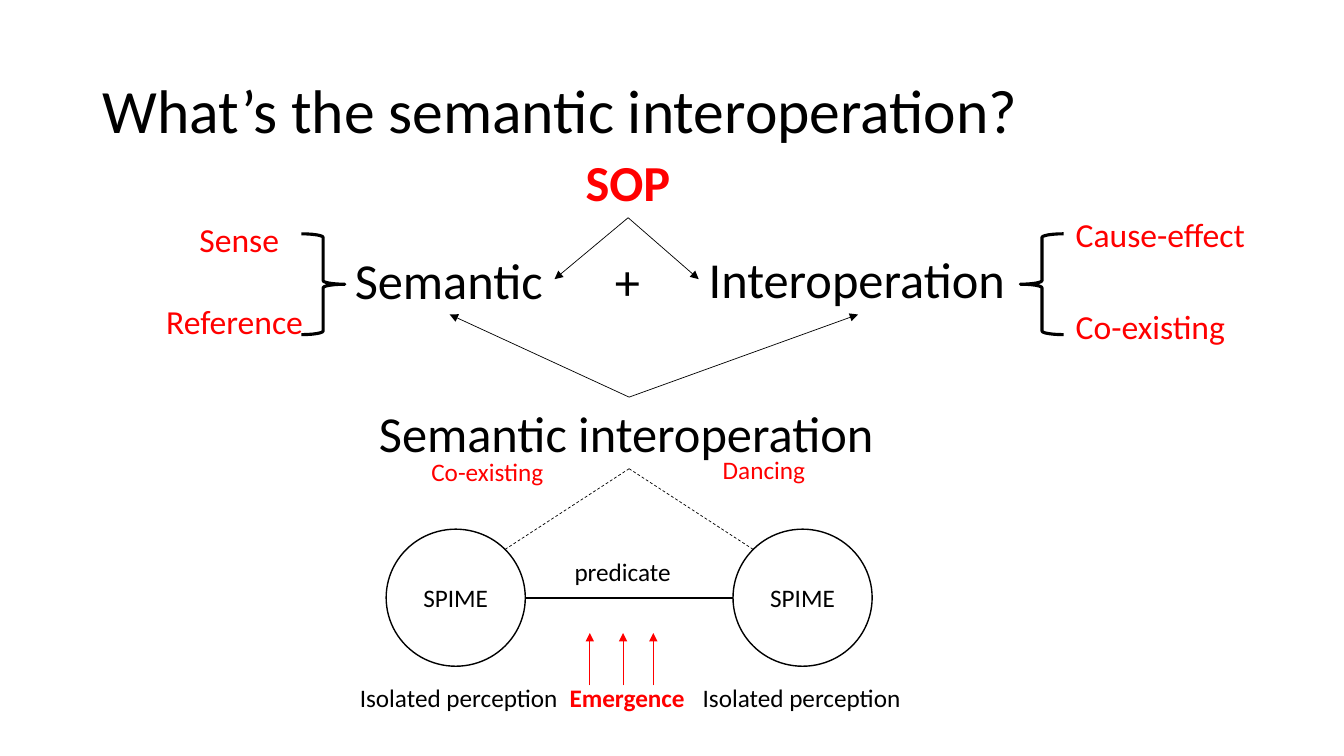
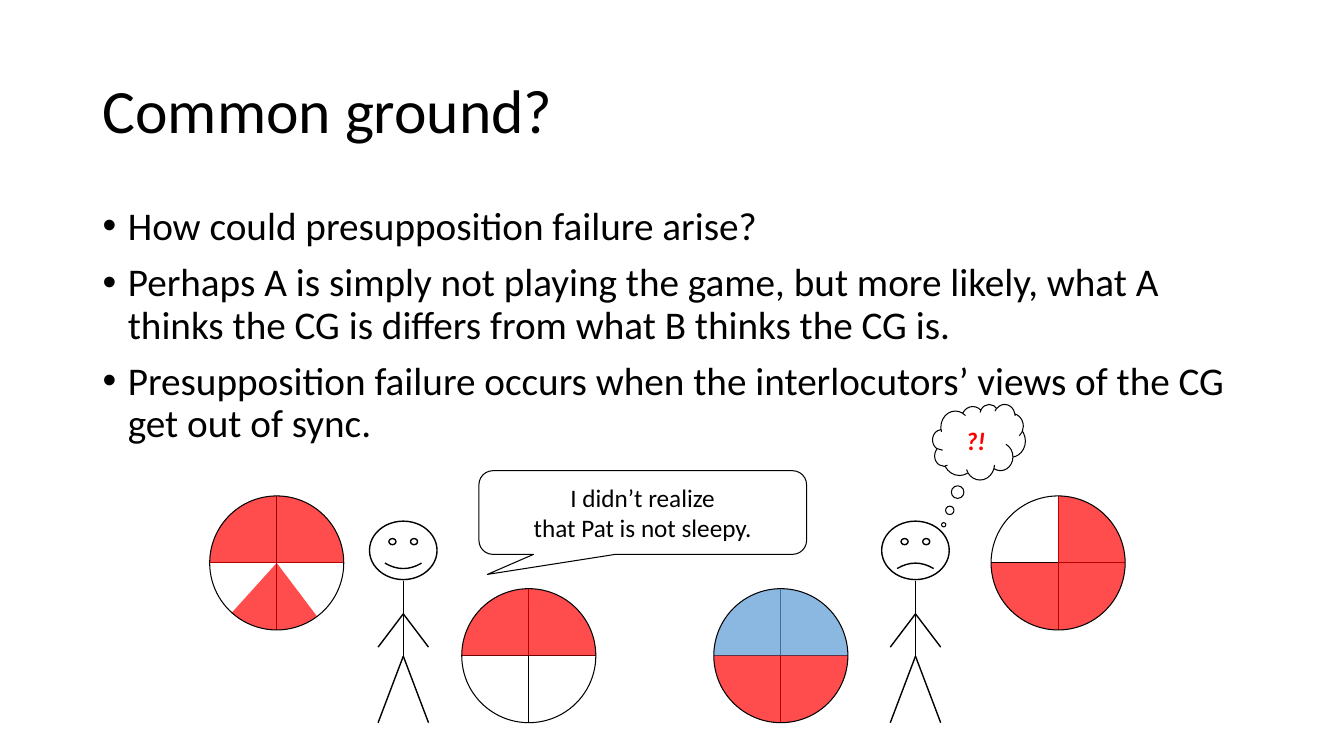
"""Build two slides: a semantic interoperation diagram and a common ground scene."""
import lxml.etree
import pptx
import pptx.util
import pptx.dml.color
import pptx.enum.dml
import pptx.enum.shapes
import pptx.enum.text
import pptx.oxml.ns

Inches, Pt = pptx.util.Inches, pptx.util.Pt
SHAPE = pptx.enum.shapes.MSO_SHAPE
ALIGN = pptx.enum.text.PP_ALIGN
ANCHOR = pptx.enum.text.MSO_ANCHOR
qn = pptx.oxml.ns.qn

COLORS = {"paper": "FFFFFF", "ink": "000000", "accent": "FF0000", "blue": "5B9BD5"}
FONT = "Calibri"
TITLE_AREA = (0.92, 0.4, 11.5, 1.45)

DIAGRAM_TITLE = "What’s the semantic interoperation?"
LABELS = [
    ("SOP", (5.71, 1.45, 1.05, 0.71), 36, "accent", True),
    ("Semantic", (3.42, 2.42, 2.09, 0.71), 36, "ink", False),
    ("+", (6, 2.43, 0.45, 0.71), 36, "ink", False),
    ("Interoperation", (6.93, 2.41, 3.17, 0.71), 36, "ink", False),
    ("Sense", (1.88, 2.12, 1, 0.5), 24, "accent", False),
    ("Reference", (1.55, 2.94, 1.58, 0.5), 24, "accent", False),
    ("Cause-effect", (10.57, 2.07, 1.91, 0.5), 24, "accent", False),
    ("Co-existing", (10.57, 2.99, 1.7, 0.5), 24, "accent", False),
    ("Semantic interoperation", (3.66, 3.94, 5.16, 0.71), 36, "ink", False),
    ("Co-existing", (4.18, 4.48, 1.33, 0.4), 18, "accent", False),
    ("Dancing", (7.07, 4.46, 1.03, 0.4), 18, "accent", False),
    ("predicate", (5.6, 5.47, 1.17, 0.4), 18, "ink", False),
    ("Isolated perception", (3.47, 6.72, 2.19, 0.4), 18, "ink", False),
    ("Emergence", (5.55, 6.72, 1.35, 0.4), 18, "accent", True),
    ("Isolated perception", (6.87, 6.72, 2.19, 0.4), 18, "ink", False),
]
BRACES = [(SHAPE.RIGHT_BRACE, 2.99), (SHAPE.LEFT_BRACE, 10.12)]
SPIME_LEFTS = [3.83, 7.27]
FORKS = [
    ((6.23, 2.16), [(5.5, 2.77), (6.93, 2.77)], {"arrow": True}),
    ((6.24, 3.94), [(4.46, 3.12), (8.51, 3.12)], {"arrow": True}),
    ((6.24, 4.65), [(5.01, 5.45), (7.47, 5.45)], {"dashed": True}),
]
EMERGENCE_XS = [5.85, 6.18, 6.48]

GROUND_TITLE = "Common ground?"
POINTS = [
    "How could presupposition failure arise?",
    "Perhaps A is simply not playing the game, but more likely, what A thinks the CG is "
    "differs from what B thinks the CG is.",
    "Presupposition failure occurs when the interlocutors’ views of the CG get out of sync.",
]
LOWER_RIGHT, LOWER_LEFT, UPPER_LEFT, UPPER_RIGHT = [(a, a + 90) for a in (0, 90, 180, 270)]
VIEWS = [
    (2.08, 4.92, {"accent": [UPPER_LEFT, UPPER_RIGHT, (53, 132)]}),
    (4.58, 5.84, {"accent": [UPPER_LEFT, UPPER_RIGHT]}),
    (7.08, 5.84, {"blue": [UPPER_LEFT, UPPER_RIGHT], "accent": [LOWER_LEFT, LOWER_RIGHT]}),
    (9.83, 4.92, {"accent": [UPPER_RIGHT, LOWER_LEFT, LOWER_RIGHT]}),
]
VIEW_SIZE = 1.33
SPEAKERS = [(4, 0.047), (9.08, -0.047)]
LIMBS = [
    ((0, 5.76), (0, 6.51)),
    ((0, 6.51), (-0.25, 7.17)),
    ((0, 6.51), (0.25, 7.17)),
    ((0, 6.09), (-0.25, 6.42)),
    ((0, 6.09), (0.25, 6.42)),
]


def rgb(name):
    return pptx.dml.color.RGBColor.from_string(COLORS[name])


def add_element(parent, tag, **attributes):
    lxml.etree.SubElement(parent, qn(tag), **attributes)


def write(frame, paragraphs, size=18, color="ink", bold=False, italic=False, align=None,
          anchor=None, wrap=False, line_spacing=None, space_before=0, bullet=False):
    frame.word_wrap = wrap
    if anchor is not None:
        frame.vertical_anchor = anchor
    for index, text in enumerate(paragraphs):
        paragraph = frame.paragraphs[0] if index == 0 else frame.add_paragraph()
        if bullet:
            properties = paragraph._p.get_or_add_pPr()
            properties.set("marL", str(Inches(0.25)))
            properties.set("indent", str(-Inches(0.25)))
            add_element(properties, "a:buFont", typeface="Arial")
            add_element(properties, "a:buChar", char="•")
        paragraph.text = text
        paragraph.alignment = align
        if line_spacing:
            paragraph.line_spacing = line_spacing
        if index and space_before:
            paragraph.space_before = Pt(space_before)
        for run in paragraph.runs:
            run.font.name, run.font.size = FONT, Pt(size)
            run.font.bold, run.font.italic = bold, italic
            run.font.color.rgb = rgb(color)


def add_text(shapes, area, paragraphs, **style):
    box = shapes.add_textbox(*map(Inches, area))
    write(box.text_frame, paragraphs, **style)


def add_outline(shapes, kind, area, width=0.75, fill=None, adjustments=()):
    shape = shapes.add_shape(kind, *map(Inches, area))
    shape.shadow.inherit = False
    if fill:
        shape.fill.solid()
        shape.fill.fore_color.rgb = rgb(fill)
    else:
        shape.fill.background()
    if width:
        shape.line.color.rgb = rgb("ink")
        shape.line.width = Pt(width)
    else:
        shape.line.fill.background()
    for index, value in enumerate(adjustments):
        shape.adjustments[index] = value
    return shape


def add_line(shapes, start, end, width=0.5, color="ink", arrow=False, dashed=False):
    line = shapes.add_connector(pptx.enum.shapes.MSO_CONNECTOR.STRAIGHT,
                                *map(Inches, (*start, *end)))
    line.line.color.rgb = rgb(color)
    line.line.width = Pt(width)
    if dashed:
        line.line.dash_style = pptx.enum.dml.MSO_LINE.DASH
    properties = line._element.spPr
    if arrow:
        add_element(properties.find(qn("a:ln")), "a:tailEnd", type="triangle")
    add_element(properties, "a:effectLst")


def add_view(shapes, left, top, sectors):
    area = (left, top, VIEW_SIZE, VIEW_SIZE)
    middle_x, middle_y = left + VIEW_SIZE / 2, top + VIEW_SIZE / 2
    add_line(shapes, (middle_x, top), (middle_x, top + VIEW_SIZE), width=0.75)
    add_line(shapes, (left, middle_y), (left + VIEW_SIZE, middle_y), width=0.75)
    for color, angles in sectors.items():
        for start, end in angles:
            sector = add_outline(shapes, SHAPE.PIE, area, width=0, fill=color,
                                 adjustments=(start * 0.6, end % 360 * 0.6))
            tint = sector._element.spPr.find(qn("a:solidFill")).find(qn("a:srgbClr"))
            add_element(tint, "a:alpha", val="70000")
    add_outline(shapes, SHAPE.OVAL, area)


def add_speaker(shapes, center, smile):
    add_outline(shapes, SHAPE.SMILEY_FACE, (center - 0.335, 5.17, 0.67, 0.58), width=1,
                adjustments=(smile,))
    for (start_x, start_y), (end_x, end_y) in LIMBS:
        add_line(shapes, (center + start_x, start_y), (center + end_x, end_y), width=1)


def start_slide(deck, title):
    slide = deck.slides.add_slide(deck.slide_layouts[6])
    slide.background.fill.solid()
    slide.background.fill.fore_color.rgb = rgb("paper")
    add_text(slide.shapes, TITLE_AREA, [title], size=44, anchor=ANCHOR.MIDDLE, wrap=True,
             line_spacing=0.9)
    return slide.shapes


def build_diagram(deck):
    shapes = start_slide(deck, DIAGRAM_TITLE)
    for left in SPIME_LEFTS:
        spime = add_outline(shapes, SHAPE.OVAL, (left, 5.25, 1.38, 1.36), width=1, fill="paper")
        write(spime.text_frame, ["SPIME"], align=ALIGN.CENTER, anchor=ANCHOR.MIDDLE, wrap=True)
    add_line(shapes, (5.21, 5.93), (7.27, 5.93), width=1.5)
    for kind, left in BRACES:
        add_outline(shapes, kind, (left, 2.32, 0.43, 1), width=2.25)
    for apex, ends, style in FORKS:
        for end in ends:
            add_line(shapes, apex, end, **style)
    for x in EMERGENCE_XS:
        add_line(shapes, (x, 6.8), (x, 6.28), color="accent", arrow=True)
    for text, area, size, color, bold in LABELS:
        add_text(shapes, area, [text], size=size, color=color, bold=bold)


def build_ground(deck):
    shapes = start_slide(deck, GROUND_TITLE)
    add_text(shapes, (0.92, 2, 11.5, 2.53), POINTS, size=28, wrap=True, line_spacing=0.9,
             space_before=10, bullet=True)
    for center, smile in SPEAKERS:
        add_speaker(shapes.add_group_shape().shapes, center, smile)
    for left, top, sectors in VIEWS:
        add_view(shapes.add_group_shape().shapes, left, top, sectors)
    speech = add_outline(shapes, SHAPE.ROUNDED_RECTANGULAR_CALLOUT, (4.75, 4.67, 3.25, 0.83),
                         adjustments=(-0.474, 0.74, 0.167))
    write(speech.text_frame, ["I didn’t realize\nthat Pat is not sleepy."],
          align=ALIGN.CENTER, anchor=ANCHOR.MIDDLE)
    thought = add_outline(shapes, SHAPE.CLOUD_CALLOUT, (9.25, 4.01, 0.92, 0.75),
                          adjustments=(-0.381, 1.095))
    write(thought.text_frame, ["?!"], color="accent", bold=True, italic=True,
          align=ALIGN.CENTER, anchor=ANCHOR.MIDDLE)


def main():
    deck = pptx.Presentation()
    deck.slide_width, deck.slide_height = Inches(13.33), Inches(7.5)
    build_diagram(deck)
    build_ground(deck)
    deck.save("out.pptx")


if __name__ == "__main__":
    main()
